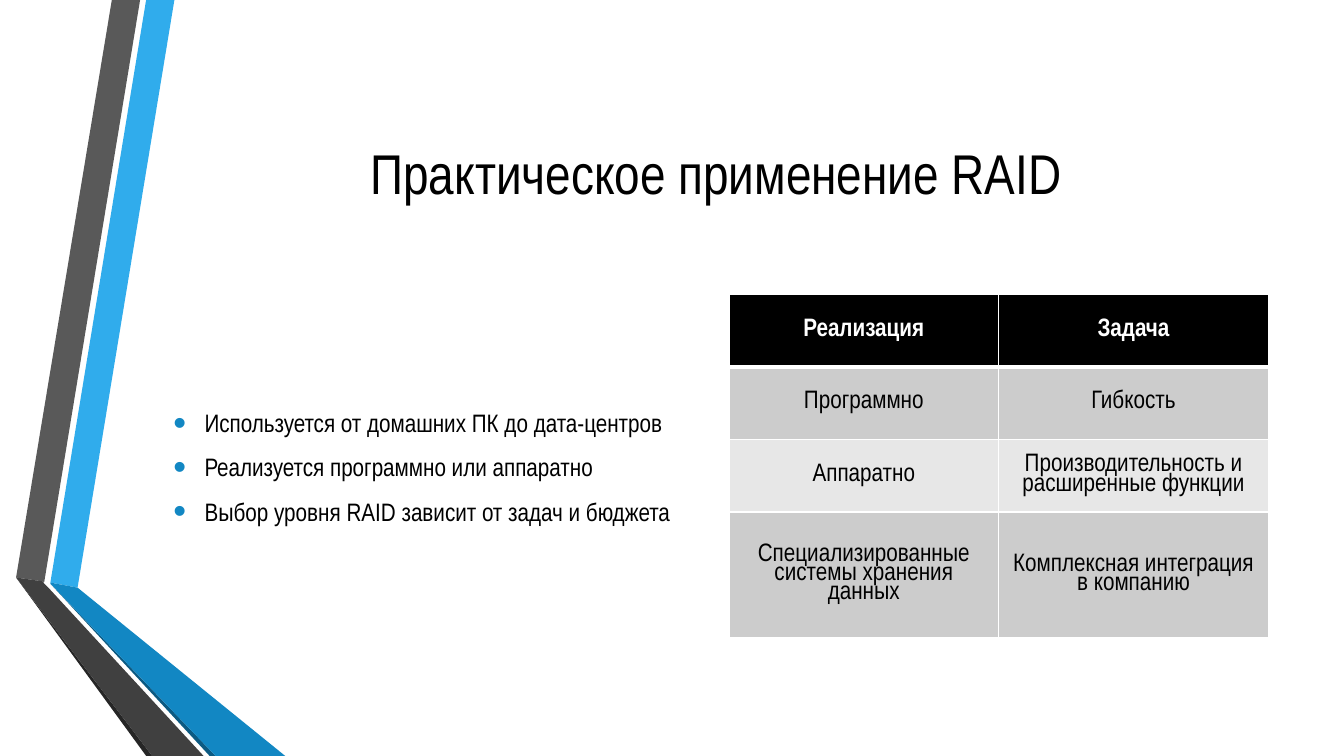
from dataclasses import dataclass

from lxml.etree import SubElement
from pptx import Presentation
from pptx.dml.color import RGBColor
from pptx.enum.text import MSO_ANCHOR, PP_ALIGN
from pptx.oxml.ns import qn
from pptx.util import Pt

PX = 9144  # EMU per px, 100 px to the inch


@dataclass(frozen=True)
class Theme:
    font: str = "Arial Narrow"
    title_size: int = 40
    text_size: int = 18
    ink: str = "000000"
    paper: str = "FFFFFF"
    accent: str = "1287C3"
    accent_light: str = "30ACEC"
    accent_dark: str = "0C5A82"
    grey: str = "404040"
    grey_light: str = "595959"
    grey_dark: str = "262626"
    band_odd: str = "CCCCCC"
    band_even: str = "E7E7E7"


THEME = Theme()

RIBBONS = [
    (THEME.accent_light, [(50, 578), (77, 583), (173, 0), (145, 0)]),
    (THEME.grey_light, [(139, 0), (111, 0), (16, 573), (44, 577)]),
    (THEME.grey_dark, [(16, 573), (145, 750), (151, 750)]),
    (THEME.accent_dark, [(50, 579), (208, 750), (214, 750)]),
    (THEME.accent, [(50, 579), (214, 750), (283, 750), (77, 583), (50, 578)]),
    (THEME.grey, [(202, 750), (48, 583), (43, 578), (44, 577), (16, 573), (151, 750)]),
]

BULLETS = [
    "Используется от домашних ПК до дата-центров",
    "Реализуется программно или аппаратно",
    "Выбор уровня RAID зависит от задач и бюджета",
]

USES = [
    ("Реализация", "Задача"),
    ("Программно", "Гибкость"),
    ("Аппаратно", "Производительность и расширенные функции"),
    ("Специализированные системы хранения данных", "Комплексная интеграция в компанию"),
]
ROW_HEIGHTS = [72, 72, 72, 125]


def px(*lengths):
    return [length * PX for length in lengths]


def set_format(target, values):
    for name, value in values.items():
        setattr(target, name, value)


def paint(fill, color):
    fill.solid()
    fill.fore_color.rgb = RGBColor.from_string(color)


def write(para, text, size=THEME.text_size, color=THEME.ink, bold=False, **layout):
    """Put one styled span in the paragraph; layout holds paragraph attributes."""
    set_format(para, layout)
    span = para.add_run()
    span.text = text
    set_format(span.font, {"name": THEME.font, "size": Pt(size), "bold": bold})
    span.font.color.rgb = RGBColor.from_string(color)


def add_ribbon(page, color, points):
    builder = page.shapes.build_freeform(*points[0], scale=PX)
    builder.add_line_segments(points[1:], close=True)
    ribbon = builder.convert_to_shape()
    ribbon.shadow.inherit = False
    paint(ribbon.fill, color)
    ribbon.line.fill.background()


def add_text_frame(page, left, top, width, height):
    frame = page.shapes.add_textbox(*px(left, top, width, height)).text_frame
    set_format(frame, {"word_wrap": True, "vertical_anchor": MSO_ANCHOR.MIDDLE})
    return frame


def add_bullet(para):
    props = para._p.get_or_add_pPr()
    set_indent = {"marL": 31 * PX, "indent": -31 * PX}
    for name, value in set_indent.items():
        props.set(name, str(value))
    SubElement(SubElement(props, qn("a:buClr")), qn("a:srgbClr"), val=THEME.accent)
    SubElement(props, qn("a:buSzPct"), val="145000")
    SubElement(props, qn("a:buFont"), typeface="Arial")
    SubElement(props, qn("a:buChar"), char="•")


def add_bullet_list(page, items, *place):
    frame = add_text_frame(page, *place)
    for index, item in enumerate(items):
        para = frame.add_paragraph() if index else frame.paragraphs[0]
        add_bullet(para)
        write(para, item, space_before=Pt(4 if index else 0), space_after=Pt(6))


def add_borders(cell, widths):
    """Draw the cell's edges; widths maps an edge letter to points."""
    props = cell._tc.get_or_add_tcPr()
    for edge, width in widths.items():
        line = SubElement(props, qn(f"a:ln{edge}"), w=str(Pt(width)))
        SubElement(SubElement(line, qn("a:solidFill")), qn("a:srgbClr"), val=THEME.paper)


def add_uses_table(page, rows, heights, left, top, width):
    columns = len(rows[0])
    place = px(left, top, width, sum(heights))
    table = page.shapes.add_table(len(rows), columns, *place).table
    for column in table.columns:
        column.width = width * PX // columns
    for index, (texts, height) in enumerate(zip(rows, heights)):
        table.rows[index].height = height * PX
        header = index == 0
        band = THEME.band_odd if index % 2 else THEME.band_even
        edges = {"L": 1, "R": 1, "T": 3 if index == 1 else 1, "B": 3 if header else 1}
        for cell, text in zip(table.rows[index].cells, texts):
            add_borders(cell, edges)
            paint(cell.fill, THEME.ink if header else band)
            cell.vertical_anchor = MSO_ANCHOR.MIDDLE
            write(cell.text_frame.paragraphs[0], text, bold=header,
                  color=THEME.paper if header else THEME.ink,
                  alignment=PP_ALIGN.CENTER, line_spacing=0.81)


def main():
    deck = Presentation()
    set_format(deck, {"slide_width": 1333 * PX, "slide_height": 750 * PX})
    page = deck.slides.add_slide(deck.slide_layouts[6])
    paint(page.background.fill, THEME.paper)
    for color, points in RIBBONS:
        add_ribbon(page, color, points)
    title = add_text_frame(page, 162, 75, 1096, 192)
    write(title.paragraphs[0], "Практическое применение RAID",
          size=THEME.title_size, alignment=PP_ALIGN.CENTER)
    add_bullet_list(page, BULLETS, 162, 292, 535, 342)
    add_uses_table(page, USES, ROW_HEIGHTS, 723, 292, 535)
    deck.save("out.pptx")


if __name__ == "__main__":
    main()
